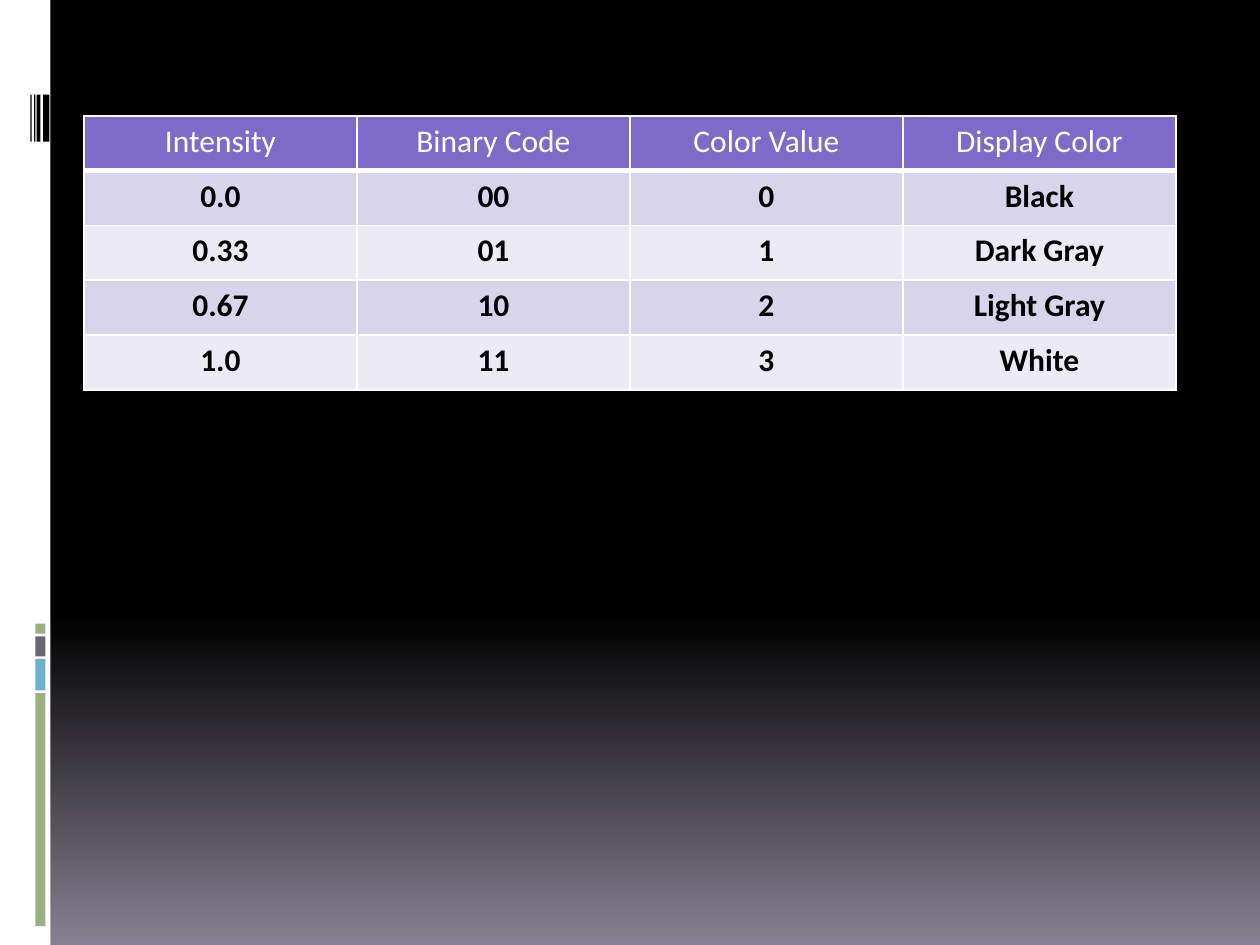
import dataclasses

import lxml.etree
import pptx
import pptx.dml.color
import pptx.enum.shapes
import pptx.enum.text
import pptx.oxml.ns
import pptx.util

WIDE, HIGH = 10, 7.5


@dataclasses.dataclass(frozen=True)
class Theme:
    font: str = "Calibri"
    size: int = 18
    line: int = 1
    rule: int = 3
    white: str = "FFFFFF"
    black: str = "000000"
    dusk: str = "868190"
    green: str = "9CB084"
    blue: str = "6BB1C9"
    gray: str = "69676D"
    head: str = "7E6BC9"
    bands: tuple = ("D8D4EB", "ECEBF5")


THEME = Theme()
ROWS = [
    ("Intensity", "Binary Code", "Color Value", "Display Color"),
    ("0.0", "00", "0", "Black"),
    ("0.33", "01", "1", "Dark Gray"),
    ("0.67", "10", "2", "Light Gray"),
    ("1.0", "11", "3", "White"),
]


def color(code):
    return pptx.dml.color.RGBColor.from_string(code)


def inches(box):
    return [pptx.util.Inches(side) for side in box]


def format_all(item, values):
    for name, value in values.items():
        setattr(item, name, value)


def paint(slide):
    """Fade the background from black to dusk, top to bottom."""
    fill = slide.background.fill
    fill.gradient()
    fill.gradient_angle = 270
    fades = ((0.65, THEME.black), (1, THEME.dusk))
    for stop, (place, code) in zip(fill.gradient_stops, fades):
        stop.position = place
        stop.color.rgb = color(code)


def add_bar(slide, box, code):
    kind = pptx.enum.shapes.MSO_SHAPE.RECTANGLE
    bar = slide.shapes.add_shape(kind, *inches(box))
    bar.shadow.inherit = False
    bar.fill.solid()
    bar.fill.fore_color.rgb = color(code)
    bar.line.fill.background()


def add_stack(slide, box):
    """Pile colored bars with equal gaps down the box."""
    left, top, width, height = box
    gap = height / 120
    parts = ((0.08, THEME.green), (0.16, THEME.gray),
             (0.25, THEME.blue), (1.85, THEME.green))
    unit = (height - gap * (len(parts) - 1)) / sum(size for size, _ in parts)
    for size, code in parts:
        add_bar(slide, (left, top, width, size * unit), code)
        top += size * unit + gap


def add_stripes(slide, box):
    """Draw upright stripes, each placed by its share of the box width."""
    left, top, width, height = box
    for start, share in ((0, 0.07), (0.2, 0.07), (0.33, 0.2), (0.67, 0.33)):
        stripe = (left + start * width, top, share * width, height)
        add_bar(slide, stripe, THEME.black)


def add_side(slide, box):
    left, top, width, height = box
    add_bar(slide, box, THEME.white)
    add_stack(slide, (left + 0.7 * width, top + 0.66 * height,
                      0.2 * width, 0.32 * height))
    add_stripes(slide, (left + 0.6 * width, top + 0.1 * height,
                        0.38 * width, 0.05 * height))


def add_edges(cell, base):
    """Rule the four sides of a cell, the lower one with the width given."""
    props = cell._tc.get_or_add_tcPr()
    name = pptx.oxml.ns.qn
    for side in "LRTB":
        size = base if side == "B" else THEME.line
        line = lxml.etree.SubElement(props, name(f"a:ln{side}"),
                                     w=str(pptx.util.Pt(size)))
        fill = lxml.etree.SubElement(line, name("a:solidFill"))
        lxml.etree.SubElement(fill, name("a:srgbClr"), val=THEME.white)


def fill_cell(cell, text, row):
    top = row == 0
    add_edges(cell, THEME.rule if top else THEME.line)
    cell.fill.solid()
    cell.fill.fore_color.rgb = color(
        THEME.head if top else THEME.bands[(row - 1) % 2])
    cell.text = text
    para = cell.text_frame.paragraphs[0]
    para.alignment = pptx.enum.text.PP_ALIGN.CENTER
    font = para.runs[0].font
    format_all(font, {"name": THEME.font, "size": pptx.util.Pt(THEME.size),
                      "bold": not top})
    font.color.rgb = color(THEME.white if top else THEME.black)


def add_grid(slide, box):
    frame = slide.shapes.add_table(len(ROWS), len(ROWS[0]), *inches(box))
    for row, texts in enumerate(ROWS):
        for col, text in enumerate(texts):
            fill_cell(frame.table.cell(row, col), text, row)


def main():
    deck = pptx.Presentation()
    format_all(deck, {"slide_width": pptx.util.Inches(WIDE),
                      "slide_height": pptx.util.Inches(HIGH)})
    slide = deck.slides.add_slide(deck.slide_layouts.get_by_name("Blank"))
    paint(slide)
    add_side(slide, (0, 0, 0.04 * WIDE, HIGH))
    add_grid(slide, (WIDE / 15, 0.92, WIDE * 13 / 15, HIGH * 0.29))
    deck.save("out.pptx")


if __name__ == "__main__":
    main()
